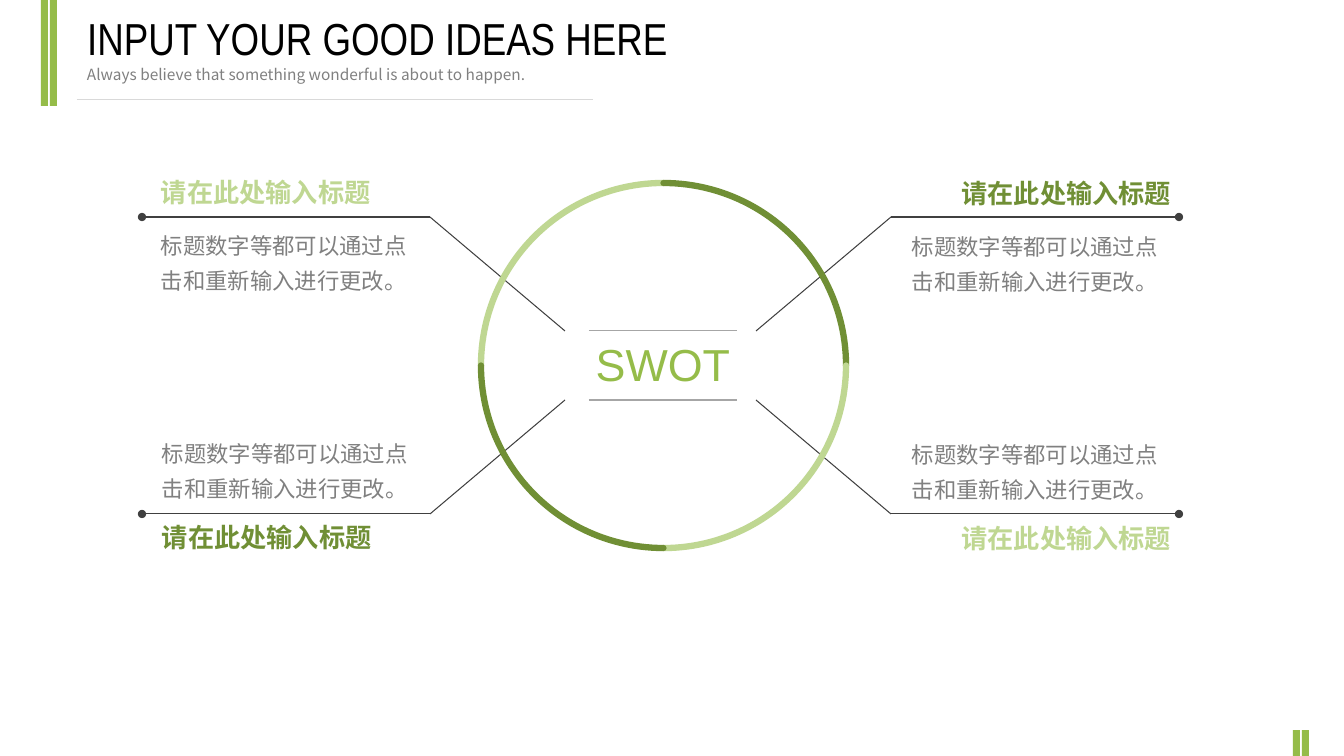
from pptx import Presentation
from pptx.dml.color import RGBColor
from pptx.enum.shapes import MSO_CONNECTOR as Connector, MSO_SHAPE as Shape
from pptx.enum.text import MSO_ANCHOR as Anchor, MSO_AUTO_SIZE as AutoSize, PP_ALIGN as Align
from pptx.oxml.ns import qn
from pptx.util import Pt
from lxml.etree import SubElement

# Content
TITLE = "INPUT YOUR GOOD IDEAS HERE"
SUBTITLE = "Always believe that something wonderful is about to happen."
CENTER = "SWOT"
HEADING = "请在此处输入标题"
BODY = "标题数字等都可以通过点击和重新输入进行更改。"

COLORS = {
    "green": "95BC49", "light": "BFD792", "dark": "708F35", "black": "000000",
    "text": "808080", "callout": "404040", "rule": "A6A6A6", "divider": "D9D9D9",
}

# Heading colour, alignment, heading left and top, body left and top
QUADRANTS = [
    ("light", Align.LEFT, (151, 171), (151, 219)),
    ("dark", Align.LEFT, (152, 516), (152, 427)),
    ("dark", Align.RIGHT, (851, 172), (902, 220)),
    ("light", Align.RIGHT, (851, 517), (902, 428)),
]
HEADING_SIZE = (330, 42)
BODY_SIZE = (278, 78)

BARS = [(41, 0, 7, 106), (50, 0, 7, 106), (1293, 730, 7, 26), (1302, 730, 7, 26)]
RING = (481, 183, 365, 365)
RING_COLORS = ["light", "dark", "light", "dark"]  # clockwise from top left
CALLOUT = [(142, 217), (430, 217), (565, 331)]  # top left: dot, bend, inner end
MIRROR_SUM = (1321, 731)  # a coordinate and its mirror add up to this
CENTER_RULES = [331, 400]

SCALE = 914400 / 100.8


def emu(*lengths):
    return [round(length * SCALE) for length in lengths]


def rgb(name):
    return RGBColor.from_string(COLORS[name])


def add_line(start, end, color, dot=False):
    line = slide.shapes.add_connector(Connector.STRAIGHT, *emu(*start, *end))
    line.line.color.rgb = rgb(color)
    line.line.width = Pt(0.75)
    if dot:
        SubElement(line.line._get_or_add_ln(), qn("a:headEnd"), type="oval")
    SubElement(line._element.spPr, qn("a:effectLst"))


def write(shape, text, size, color, font="Arial", bold=False, wrap=True, **layout):
    frame = shape.text_frame
    frame.word_wrap = wrap
    frame.auto_size = AutoSize.NONE
    frame.vertical_anchor = Anchor.TOP
    paragraph = frame.paragraphs[0]
    run = paragraph.add_run()
    run.text = text
    run.font.color.rgb = rgb(color)
    for name, value in {"size": Pt(size), "name": font, "bold": bold}.items():
        setattr(run.font, name, value)
    for name, value in {"alignment": Align.LEFT, **layout}.items():
        setattr(paragraph, name, value)


def add_text(box, *args, **formats):
    write(slide.shapes.add_textbox(*emu(*box)), *args, **formats)


presentation = Presentation()
presentation.slide_width, presentation.slide_height = emu(1344, 756)
slide = presentation.slides.add_slide(presentation.slide_layouts[5])

# Header and corner bars
for box in BARS:
    bar = slide.shapes.add_shape(Shape.RECTANGLE, *emu(*box))
    bar.shadow.inherit = False
    bar.fill.solid()
    bar.fill.fore_color.rgb = rgb("green")
    bar.line.fill.background()
add_line((77, 100), (593, 100), "divider")

title = slide.shapes.title
title.left, title.top, title.width, title.height = emu(77, 6, 874, 64)
write(title, TITLE, 32, "black", font="Arial Narrow")
add_text((77, 60, 712, 29), SUBTITLE, 11, "text", font="Noto Sans CJK SC")

# Callout lines, mirrored into the four quadrants
for flip_x in (False, True):
    for flip_y in (False, True):
        dot, bend, inner = [
            (MIRROR_SUM[0] - x if flip_x else x, MIRROR_SUM[1] - y if flip_y else y)
            for x, y in CALLOUT
        ]
        add_line(dot, bend, "callout", dot=True)
        add_line(bend, inner, "callout")

# Ring of four quarter arcs
for index, color in enumerate(RING_COLORS):
    arc = slide.shapes.add_shape(Shape.ARC, *emu(*RING))
    arc.shadow.inherit = False
    arc.adjustments[0], arc.adjustments[1] = 108, 162  # 180 to 270 degrees
    arc.rotation = 90 * index
    arc.fill.background()
    arc.line.color.rgb = rgb(color)
    arc.line.width = Pt(4.5)
    arc.line._get_or_add_ln().set("cap", "rnd")

# Centre label between two rules
for y in CENTER_RULES:
    add_line((589, y), (737, y), "rule")
add_text((585, 332, 156, 64), CENTER, 32, "green", wrap=False, alignment=Align.CENTER)

# Quadrant texts
for color, alignment, heading_at, body_at in QUADRANTS:
    add_text(heading_at + HEADING_SIZE, HEADING, 18.7, color, bold=True, alignment=alignment)
    add_text(body_at + BODY_SIZE, BODY, 16, "text", line_spacing=1.3)

presentation.save("out.pptx")
